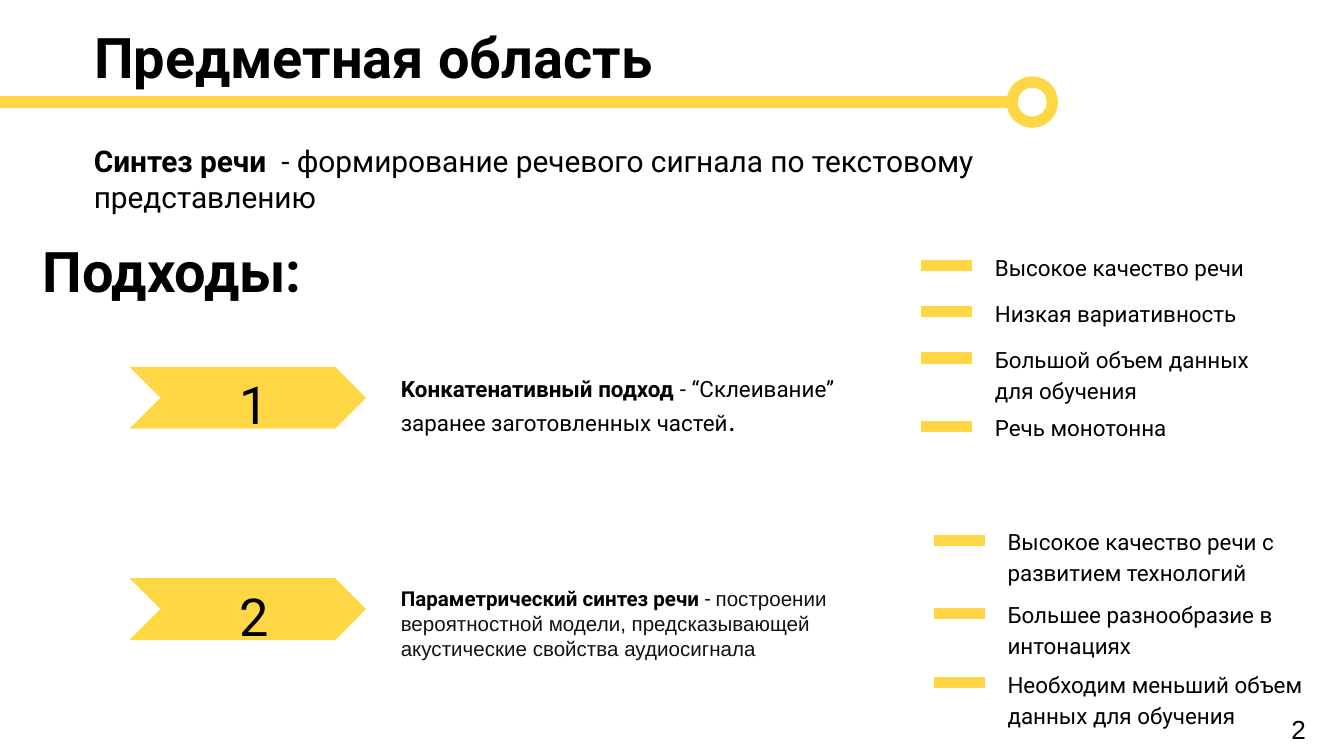
from lxml.etree import SubElement
from pptx import Presentation
from pptx.dml.color import RGBColor
from pptx.enum.shapes import MSO_CONNECTOR, MSO_SHAPE
from pptx.enum.text import MSO_ANCHOR, MSO_AUTO_SIZE, PP_ALIGN
from pptx.oxml.ns import qn
from pptx.util import Pt

YELLOW = RGBColor(0xFF, 0xD7, 0x45)
BLACK = RGBColor(0x00, 0x00, 0x00)
GRAPHITE = RGBColor(0x11, 0x11, 0x11)
STROKE = 6
INSET = 7.2


def write(holder, box, runs, align=PP_ALIGN.LEFT, spacing=1.0, inset_y=3.6):
    holder.left, holder.top, holder.width, holder.height = map(Pt, box)
    frame = holder.text_frame
    frame.word_wrap = True
    frame.auto_size = MSO_AUTO_SIZE.NONE
    frame.vertical_anchor = MSO_ANCHOR.TOP
    frame.margin_left = frame.margin_right = Pt(INSET)
    frame.margin_top = frame.margin_bottom = Pt(inset_y)
    paragraph = frame.paragraphs[0]
    paragraph.alignment = align
    paragraph.line_spacing = spacing
    for words, size, bold, face, color in runs:
        run = paragraph.add_run()
        run.text = words
        run.font.size = Pt(size)
        run.font.bold = bold
        run.font.name = face
        run.font.color.rgb = color


def add_text(slide, box, runs, **style):
    write(slide.shapes.add_textbox(*map(Pt, box)), box, runs, **style)


def roboto(words, size, bold=False):
    return words, size, bold, "Roboto", BLACK


def add_rule(slide, left, right, y):
    rule = slide.shapes.add_connector(
        MSO_CONNECTOR.STRAIGHT, Pt(left), Pt(y), Pt(right), Pt(y))
    rule.line.color.rgb = YELLOW
    rule.line.width = Pt(STROKE)
    SubElement(rule._element.spPr, qn("a:effectLst"))


def add_header(slide, left, top, width, height):
    write(slide.shapes.title, (left, top, width, height),
          [roboto("Предметная область", 30, True)])
    rule_y, rule_end, ring_size = top + 46.1, 542.2, 21.6
    add_rule(slide, 0, rule_end, rule_y)
    ring = slide.shapes.add_shape(
        MSO_SHAPE.OVAL, Pt(rule_end), Pt(rule_y - ring_size / 2),
        Pt(ring_size), Pt(ring_size))
    ring.shadow.inherit = False
    ring.fill.background()
    ring.line.color.rgb = YELLOW
    ring.line.width = Pt(STROKE)


def add_approach(slide, left, top, width, height, number, description):
    arrow_width = 126.7
    arrow = slide.shapes.add_shape(
        MSO_SHAPE.CHEVRON, Pt(left), Pt(top), Pt(arrow_width), Pt(height))
    arrow.adjustments[0] = 0.5
    arrow.shadow.inherit = False
    arrow.fill.solid()
    arrow.fill.fore_color.rgb = YELLOW
    arrow.line.fill.background()
    add_text(slide, (left + 34.6, top - 2.9, 64.1, 31), [roboto(number, 28)],
             align=PP_ALIGN.CENTER, spacing=1.07)
    text_left = left + arrow_width + 11.5
    add_text(slide, (text_left, top + 0.7, left + width - text_left, 23),
             description)


def add_features(slide, left, top, width, features):
    text_offset, dash_length, dash_drop = 32.5, 27.5, 12
    for offset, feature in features:
        y = top + offset
        add_rule(slide, left, left + dash_length, y + dash_drop)
        add_text(slide, (left + text_offset, y, width - text_offset, 21.6),
                 [roboto(feature, 12)], spacing=1.15)


def main():
    deck = Presentation()
    deck.slide_width, deck.slide_height = Pt(720), Pt(405)
    slide = deck.slides.add_slide(deck.slide_layouts[5])

    add_header(slide, 43.2, 8.6, 532, 28.8)
    add_text(slide, (43.2, 69.1, 511.2, 51.8), [
        roboto("Cинтез речи ", 16, True),
        roboto(" - формирование речевого сигнала по текстовому представлению", 16),
    ], inset_y=INSET)
    add_text(slide, (15.8, 123.1, 532, 28.8), [roboto("Подходы:", 30, True)])

    add_approach(slide, 69.4, 196.6, 388.8, 33.1, "1", [
        roboto("Kонкатенативный подход", 12, True),
        roboto(" - “Склеивание” заранее заготовленных частей", 12),
        roboto(".", 16),
    ])
    add_approach(slide, 69.4, 309.8, 432, 33.1, "2", [
        roboto("Параметрический синтез речи ", 11, True),
        roboto("- ", 11),
        ("построении вероятностной модели, предсказывающей акустические "
         "свойства аудиосигнала", 11, False, "Arial", GRAPHITE),
    ])

    add_features(slide, 493.4, 130.4, 191, [
        (0, "Высокое качество речи"),
        (24.7, "Низкая вариативность"),
        (49.4, "Большой объем данных для обучения"),
        (86, "Речь монотонна"),
    ])
    add_features(slide, 500.2, 277.4, 209, [
        (0, "Высокое качество речи с развитием технологий"),
        (39.2, "Большее разнообразие в интонациях"),
        (76.4, "Необходим меньший объем данных для обучения"),
    ])
    add_text(slide, (684.7, 378.7, 35.3, 24.5),
             [("2", 14, False, "Arial", BLACK)])

    deck.save("out.pptx")


if __name__ == "__main__":
    main()
